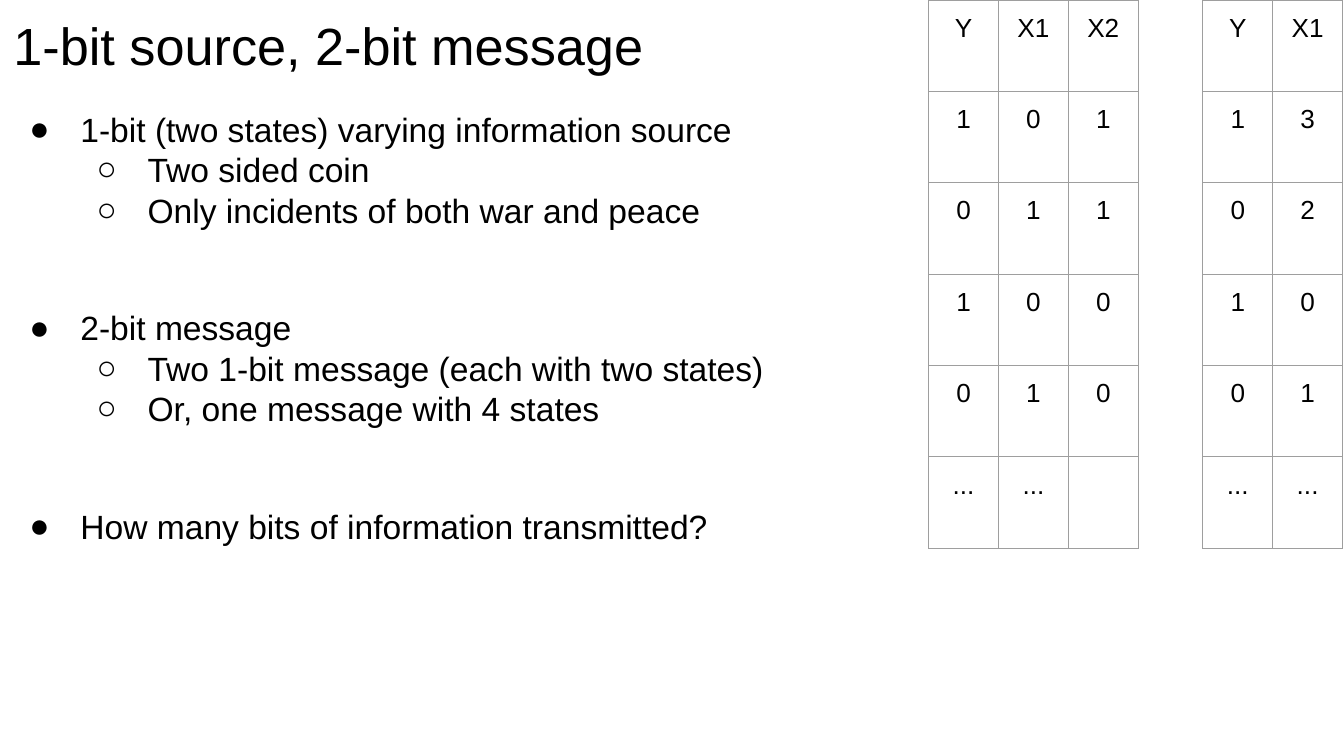
from typing import NamedTuple

from lxml.etree import SubElement
from pptx import Presentation
from pptx.dml.color import RGBColor
from pptx.enum.text import MSO_ANCHOR as Anchor, MSO_AUTO_SIZE as AutoSize, PP_ALIGN as Align
from pptx.oxml.ns import qn
from pptx.util import Inches, Pt

FONT = "Arial"
BLACK = "000000"
GRID_GRAY = "9E9E9E"
BULLETS = ("●", "○")
COLUMN_WIDTH = 0.52
ROW_HEIGHT = 0.68
MARGIN = 0.1
SECTION_GAP = 41.5


class Point(NamedTuple):
    text: str
    level: int = 0
    space_before: float = 0


class Grid(NamedTuple):
    left: float
    rows: list[str]


POINTS = [
    Point("1-bit (two states) varying information source"),
    Point("Two sided coin", 1),
    Point("Only incidents of both war and peace", 1),
    Point("2-bit message", space_before=SECTION_GAP),
    Point("Two 1-bit message (each with two states)", 1),
    Point("Or, one message with 4 states", 1),
    Point("How many bits of information transmitted?", space_before=SECTION_GAP),
]

GRIDS = [
    Grid(6.91, ["Y X1 X2", "1 0 1", "0 1 1", "1 0 0", "0 1 0", "... ..."]),
    Grid(8.95, ["Y X1", "1 3", "0 2", "1 0", "0 1", "... ..."]),
]


def color(value: str) -> RGBColor:
    return RGBColor.from_string(value)


def set_font(para, size: float) -> None:
    para.font.name = FONT
    para.font.size = Pt(size)
    para.font.color.rgb = color(BLACK)


def set_margins(target) -> None:
    """Give a text frame or a table cell the same margin on every side."""
    for side in ("left", "top", "right", "bottom"):
        setattr(target, f"margin_{side}", Inches(MARGIN))


def set_frame(frame) -> None:
    set_margins(frame)
    frame.word_wrap = True
    frame.auto_size = AutoSize.NONE
    frame.vertical_anchor = Anchor.TOP


def add_title(page, text: str) -> None:
    title = page.shapes.title
    title.left, title.top = Inches(0), Inches(0)
    title.width, title.height = Inches(6.12), Inches(0.63)
    set_frame(title.text_frame)
    title.text_frame.text = text
    para = title.text_frame.paragraphs[0]
    para.alignment = Align.LEFT
    set_font(para, 28)


def add_bullet(para, level: int) -> None:
    properties = para._p.get_or_add_pPr()
    properties.set("marL", str(Inches(0.5 * (level + 1))))
    properties.set("indent", str(Inches(-0.38)))
    bullet_color = SubElement(properties, qn("a:buClr"))
    SubElement(bullet_color, qn("a:srgbClr"), val=BLACK)
    SubElement(properties, qn("a:buFont"), typeface=FONT)
    SubElement(properties, qn("a:buChar"), char=BULLETS[level])


def add_points(page, points: list[Point]) -> None:
    box = page.shapes.add_textbox(Inches(0), Inches(0.71), Inches(6.63), Inches(4.21))
    frame = box.text_frame
    set_frame(frame)
    for index, point in enumerate(points):
        para = frame.add_paragraph() if index else frame.paragraphs[0]
        para.text = point.text
        para.level = point.level
        add_bullet(para, point.level)
        para.space_before = Pt(point.space_before)
        set_font(para, 18)


def add_borders(cell) -> None:
    properties = cell._tc.get_or_add_tcPr()
    for side in ("lnL", "lnR", "lnT", "lnB"):
        line = SubElement(properties, qn(f"a:{side}"), w=str(Pt(0.75)))
        fill = SubElement(line, qn("a:solidFill"))
        SubElement(fill, qn("a:srgbClr"), val=GRID_GRAY)


def add_grid(page, grid: Grid) -> None:
    rows = [row.split() for row in grid.rows]
    column_count = len(rows[0])
    table = page.shapes.add_table(
        len(rows), column_count, Inches(grid.left), Inches(0),
        Inches(COLUMN_WIDTH * column_count), Inches(ROW_HEIGHT * len(rows)),
    ).table
    table.first_row = table.horz_banding = False
    for column in table.columns:
        column.width = Inches(COLUMN_WIDTH)
    for row in table.rows:
        row.height = Inches(ROW_HEIGHT)
    for cell in table.iter_cells():
        set_margins(cell)
        add_borders(cell)
        cell.fill.background()
    for row_index, row in enumerate(rows):
        for column_index, text in enumerate(row):
            cell = table.cell(row_index, column_index)
            cell.text = text
            para = cell.text_frame.paragraphs[0]
            para.alignment = Align.CENTER
            set_font(para, 14)


def main() -> None:
    deck = Presentation()
    deck.slide_width = Inches(10)
    deck.slide_height = deck.slide_width * 9 // 16
    page = deck.slides.add_slide(deck.slide_layouts[5])
    add_title(page, "1-bit source, 2-bit message")
    add_points(page, POINTS)
    for grid in GRIDS:
        add_grid(page, grid)
    deck.save("out.pptx")


if __name__ == "__main__":
    main()
